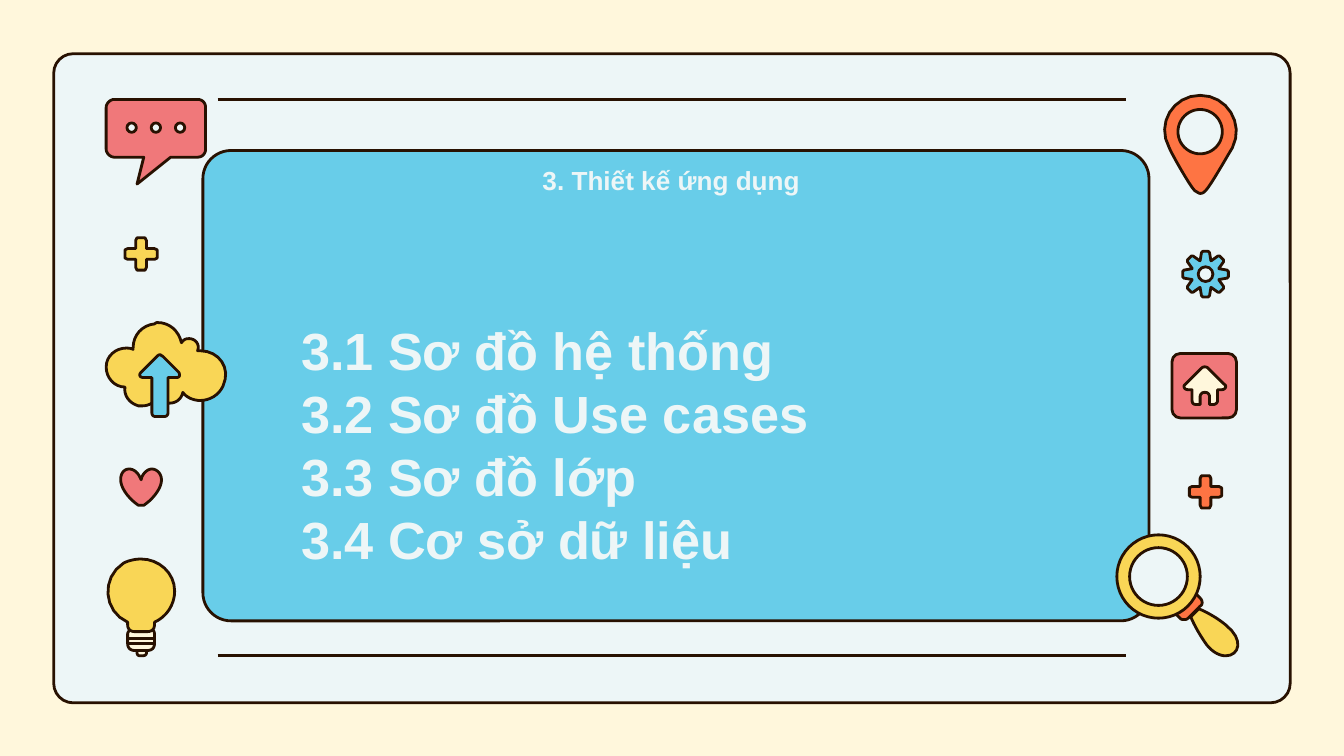
import math

import lxml.etree
import pptx
import pptx.dml.color
import pptx.enum.shapes
import pptx.enum.text
import pptx.oxml.ns
import pptx.util

Inches = pptx.util.Inches
Pt = pptx.util.Pt
Preset = pptx.enum.shapes.MSO_SHAPE
Align = pptx.enum.text.PP_ALIGN
Anchor = pptx.enum.text.MSO_ANCHOR

INK, CREAM, MIST = "281101", "FFF7DC", "EDF6F7"
BLUE, PINK, YELLOW, ORANGE = "68CDE9", "F0787A", "F9D656", "FE7443"

SPEECH_BUBBLE = """M .85 .74 C .82 .74 .79 .77 .79 .8 L .79 1.11 C .79 1.14 .82 1.17 .85 1.17
    L 1.07 1.17 L 1.02 1.37 L 1.27 1.17 L 1.47 1.17 C 1.51 1.17 1.53 1.14 1.53 1.11
    L 1.53 .8 C 1.53 .77 1.51 .74 1.47 .74"""
CLOUD = """M 1.17 2.4 C 1.17 2.4 1.16 2.4 1.15 2.41 C 1.06 2.42 .99 2.49 .99 2.59 L .99 2.6
    C .97 2.59 .95 2.59 .94 2.59 C .86 2.59 .79 2.65 .79 2.73 C .79 2.81 .85 2.88 .93 2.88
    C .92 2.94 .96 3 1.03 3.02 C 1.04 3.02 1.05 3.02 1.06 3.02 C 1.11 3.02 1.16 2.99 1.18 2.94
    C 1.2 2.98 1.23 3 1.26 3 C 1.31 3 1.35 2.97 1.36 2.92 C 1.39 2.96 1.44 2.98 1.49 2.98
    C 1.56 2.98 1.63 2.94 1.66 2.87 C 1.72 2.74 1.63 2.61 1.49 2.61 L 1.47 2.61
    C 1.49 2.56 1.45 2.52 1.41 2.52 C 1.39 2.52 1.37 2.52 1.35 2.55 C 1.33 2.46 1.26 2.4 1.17 2.4"""
UPLOAD_ARROW = """M 1.19 2.64 C 1.18 2.64 1.17 2.65 1.17 2.65 L 1.05 2.77
    C 1.03 2.79 1.04 2.81 1.07 2.81 L 1.13 2.81 L 1.13 3.07 C 1.13 3.09 1.14 3.1 1.16 3.1
    L 1.22 3.1 C 1.24 3.1 1.25 3.09 1.25 3.07 L 1.25 2.81 L 1.31 2.81
    C 1.34 2.81 1.34 2.79 1.33 2.77 L 1.21 2.65 C 1.2 2.65 1.2 2.64 1.19 2.64"""
HEART = """M .96 3.49 C .92 3.49 .89 3.53 .9 3.59 C .91 3.65 .97 3.72 1.03 3.76
    C 1.04 3.76 1.04 3.76 1.05 3.76 C 1.05 3.76 1.06 3.76 1.07 3.76
    C 1.13 3.72 1.19 3.65 1.2 3.59 C 1.21 3.53 1.17 3.49 1.13 3.49
    C 1.1 3.49 1.06 3.52 1.05 3.57 C 1.03 3.52 1 3.49 .96 3.49"""
BULB_SCREW = """M .97 4.69 C .95 4.7 .95 4.71 .95 4.73 L .95 4.79 C .95 4.82 .97 4.84 1 4.84
    L 1.1 4.84 C 1.13 4.84 1.15 4.82 1.15 4.79 L 1.15 4.73 C 1.15 4.71 1.15 4.7 1.14 4.69"""
BULB_TIP = """M 1.02 4.84 L 1.02 4.86 C 1.02 4.87 1.03 4.88 1.04 4.88 L 1.06 4.88
    C 1.08 4.88 1.09 4.87 1.09 4.86 L 1.09 4.84"""
BULB_GLASS = """M 1.05 4.16 C 1.01 4.16 .96 4.17 .92 4.19 C .75 4.3 .77 4.55 .95 4.63 L .95 4.65
    C .95 4.68 .97 4.7 1 4.7 L 1.1 4.7 C 1.13 4.7 1.15 4.68 1.15 4.65 L 1.15 4.63
    C 1.24 4.59 1.3 4.5 1.3 4.4 C 1.3 4.26 1.18 4.16 1.05 4.16"""
MAP_PIN = """M 8.93 .71 C 8.73 .71 8.6 .92 8.7 1.1 C 8.71 1.13 8.85 1.38 8.89 1.42
    C 8.91 1.43 8.92 1.44 8.93 1.44 C 8.95 1.44 8.96 1.43 8.97 1.42
    C 9.01 1.38 9.15 1.13 9.17 1.1 C 9.26 .92 9.13 .71 8.93 .71"""
HOUSE = """M 8.96 2.73 C 8.96 2.73 8.95 2.73 8.94 2.74 L 8.82 2.86 C 8.8 2.87 8.81 2.9 8.84 2.9
    L 8.87 2.9 L 8.87 2.98 C 8.87 3 8.88 3.01 8.9 3.01 L 8.93 3.01 L 8.93 2.95
    C 8.93 2.94 8.94 2.92 8.96 2.92 L 8.97 2.92 C 8.99 2.92 9 2.94 9 2.95 L 9 3.01
    L 9.03 3.01 C 9.04 3.01 9.06 3 9.06 2.98 L 9.06 2.9 L 9.09 2.9
    C 9.12 2.9 9.13 2.87 9.11 2.86 L 8.99 2.74 C 8.98 2.73 8.97 2.73 8.96 2.73"""
LENS_HANDLE = """M 8.92 4.53 L 8.86 4.59 C 8.89 4.66 8.93 4.73 8.98 4.8
    C 9.03 4.86 9.08 4.88 9.12 4.88 C 9.22 4.88 9.26 4.76 9.12 4.65 C 9.06 4.6 8.99 4.56 8.92 4.53"""
LENS_COLLAR = """M 8.9 4.42 L 8.75 4.57 L 8.78 4.6 C 8.79 4.61 8.8 4.61 8.81 4.61
    C 8.82 4.61 8.83 4.61 8.84 4.6 L 8.93 4.51 C 8.95 4.5 8.95 4.47 8.93 4.45 L 8.9 4.42"""
PLUS_ARM = [(-.04, -.04), (-.04, -.1), (-.03, -.12), (.03, -.12), (.04, -.1)]
GEAR_TOOTH = [(-.04, -.1), (-.03, -.16), (-.02, -.17), (.02, -.17), (.03, -.16), (.04, -.1)]


def rgb(hex_code):
    return pptx.dml.color.RGBColor.from_string(hex_code)


def curve_points(outline, steps=8):
    points, numbers = [], []
    for word in outline.split() + ["M"]:
        if not word.isalpha():
            numbers.append(float(word))
            continue
        pairs = list(zip(numbers[::2], numbers[1::2]))
        if len(pairs) == 3:
            corners = [points[-1]] + pairs
            for step in range(1, steps + 1):
                t = step / steps
                weights = [math.comb(3, k) * t**k * (1 - t)**(3 - k) for k in range(4)]
                points.append(tuple(sum(w * c[axis] for w, c in zip(weights, corners))
                                    for axis in (0, 1)))
        else:
            points += pairs
        numbers = []
    return points


def spun_points(part, count, center_x, center_y):
    points = []
    for turn in range(count):
        cos, sin = math.cos(math.tau * turn / count), math.sin(math.tau * turn / count)
        points += [(center_x + x * cos - y * sin, center_y + x * sin + y * cos) for x, y in part]
    return points


class Sketch:
    """Draws inked shapes and Arial text on the current slide."""

    def __init__(self, slide):
        self.slide = slide
        slide.background.fill.solid()
        slide.background.fill.fore_color.rgb = rgb(CREAM)

    def ink(self, shape, fill):
        shape.shadow.inherit = False
        shape.fill.solid()
        shape.fill.fore_color.rgb = rgb(fill)
        shape.line.color.rgb = rgb(INK)
        shape.line.width = Pt(1.5)

    def panel(self, left, top, width, height, corner, fill):
        panel = self.slide.shapes.add_shape(
            Preset.ROUNDED_RECTANGLE, Inches(left), Inches(top), Inches(width), Inches(height))
        panel.adjustments[0] = corner
        self.ink(panel, fill)

    def circle(self, center_x, center_y, size, fill):
        circle = self.slide.shapes.add_shape(
            Preset.OVAL, Inches(center_x - size / 2), Inches(center_y - size / 2),
            Inches(size), Inches(size))
        self.ink(circle, fill)

    def outline(self, points, fill):
        start, *rest = [(Inches(x), Inches(y)) for x, y in points]
        builder = self.slide.shapes.build_freeform(*start)
        builder.add_line_segments(rest, close=True)
        self.ink(builder.convert_to_shape(), fill)

    def rule(self, left, right, y):
        rule = self.slide.shapes.add_connector(
            pptx.enum.shapes.MSO_CONNECTOR.STRAIGHT, Inches(left), Inches(y), Inches(right), Inches(y))
        rule.line.color.rgb = rgb(INK)
        rule.line.width = Pt(1.5)
        lxml.etree.SubElement(rule.element.spPr, pptx.oxml.ns.qn("a:effectLst"))

    def text(self, holder, box, lines, size, align, anchor, inset):
        holder.element.getparent().append(holder.element)
        holder.left, holder.top, holder.width, holder.height = map(Inches, box)
        frame = holder.text_frame
        frame.word_wrap = True
        frame.auto_size = pptx.enum.text.MSO_AUTO_SIZE.NONE
        frame.vertical_anchor = anchor
        frame.margin_left = frame.margin_right = Inches(0.1)
        frame.margin_top = frame.margin_bottom = Inches(inset)
        for number, line in enumerate(lines):
            paragraph = frame.add_paragraph() if number else frame.paragraphs[0]
            properties = paragraph._p.get_or_add_pPr()
            properties.set("marL", "0")
            properties.set("indent", "0")
            paragraph.alignment = align
            paragraph.space_before = Pt(0)
            lxml.etree.SubElement(properties, pptx.oxml.ns.qn("a:buNone"))
            run = paragraph.add_run()
            run.text = line
            run.font.name = "Arial"
            run.font.size = Pt(size)
            run.font.bold = True
            run.font.color.rgb = rgb(MIST)


def main():
    deck = pptx.Presentation()
    deck.slide_width = Inches(10)
    deck.slide_height = deck.slide_width * 9 // 16
    slide = deck.slides.add_slide(deck.slide_layouts[1])
    sketch = Sketch(slide)

    sketch.panel(0.4, 0.4, 9.2, 4.83, 0.03, MIST)
    sketch.panel(1.51, 1.12, 7.04, 3.5, 0.06, BLUE)
    for y in (4.88, 0.74):
        sketch.rule(1.62, 8.38, y)

    sketch.outline(curve_points(SPEECH_BUBBLE), PINK)
    for x in (0.98, 1.16, 1.34):
        sketch.circle(x, 0.95, 0.07, MIST)
    sketch.outline(curve_points(CLOUD), YELLOW)
    sketch.outline(curve_points(UPLOAD_ARROW), BLUE)
    sketch.outline(spun_points(PLUS_ARM, 4, 1.05, 1.89), YELLOW)
    sketch.outline(curve_points(HEART), PINK)
    sketch.outline(curve_points(BULB_SCREW), CREAM)
    sketch.outline(curve_points(BULB_TIP), CREAM)
    for y in (4.79, 4.75):
        sketch.rule(0.95, 1.15, y)
    sketch.outline(curve_points(BULB_GLASS), YELLOW)

    sketch.outline(curve_points(MAP_PIN), ORANGE)
    sketch.circle(8.93, 0.98, 0.33, MIST)
    sketch.outline(spun_points(GEAR_TOOTH, 8, 8.97, 2.04), BLUE)
    sketch.circle(8.97, 2.04, 0.11, MIST)
    sketch.panel(8.72, 2.63, 0.48, 0.48, 0.13, PINK)
    sketch.outline(curve_points(HOUSE), CREAM)
    sketch.outline(spun_points(PLUS_ARM, 4, 8.97, 3.66), ORANGE)
    sketch.outline(curve_points(LENS_HANDLE), YELLOW)
    sketch.outline(curve_points(LENS_COLLAR), ORANGE)
    sketch.circle(8.62, 4.29, 0.62, YELLOW)
    sketch.circle(8.62, 4.29, 0.43, MIST)

    sketch.text(slide.shapes.title, (1.85, 1.16, 6.29, 0.87), ["3. Thiết kế ứng dụng"],
                14, Align.CENTER, Anchor.TOP, 0.06)
    sections = ["3.1 Sơ đồ hệ thống", "3.2 Sơ đồ Use cases", "3.3 Sơ đồ lớp", "3.4 Cơ sở dữ liệu"]
    sketch.text(slide.placeholders[1], (2.14, 2.15, 5.95, 2.31), sections,
                28, Align.LEFT, Anchor.MIDDLE, 0.1)
    deck.save("out.pptx")


if __name__ == "__main__":
    main()
